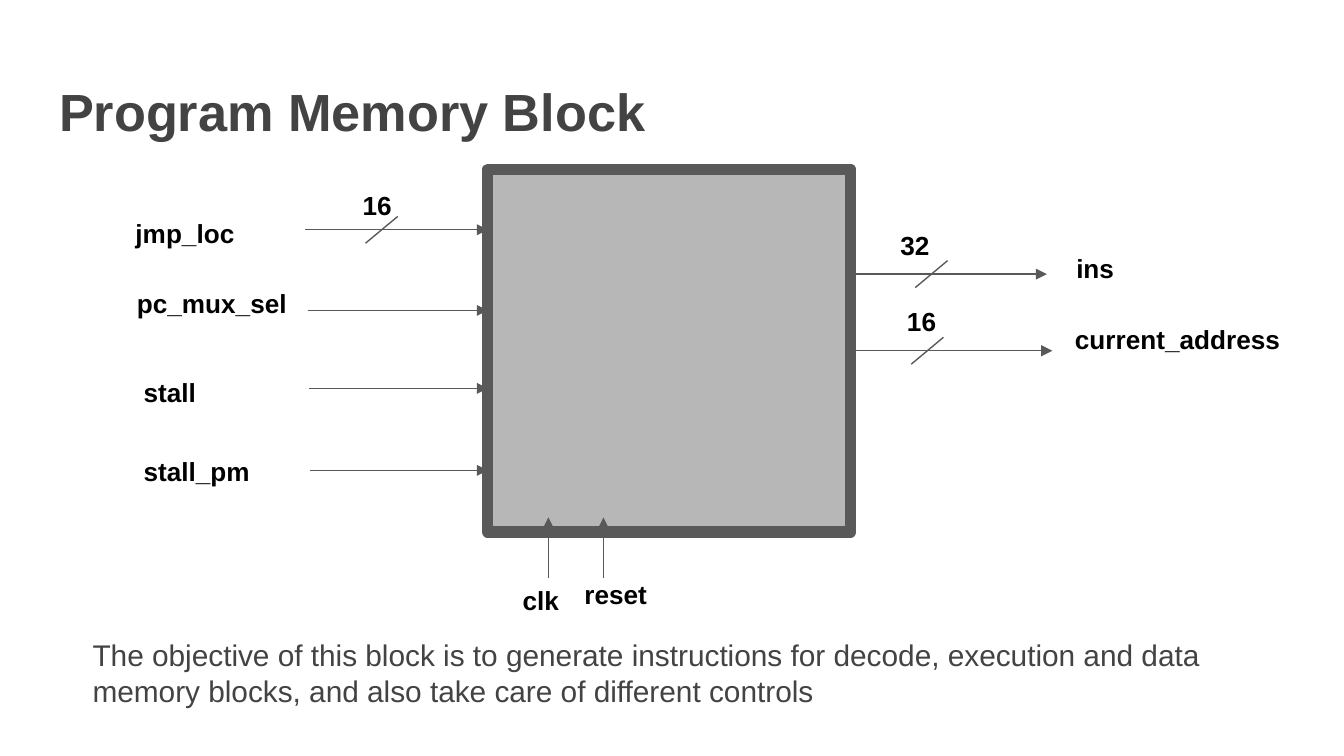
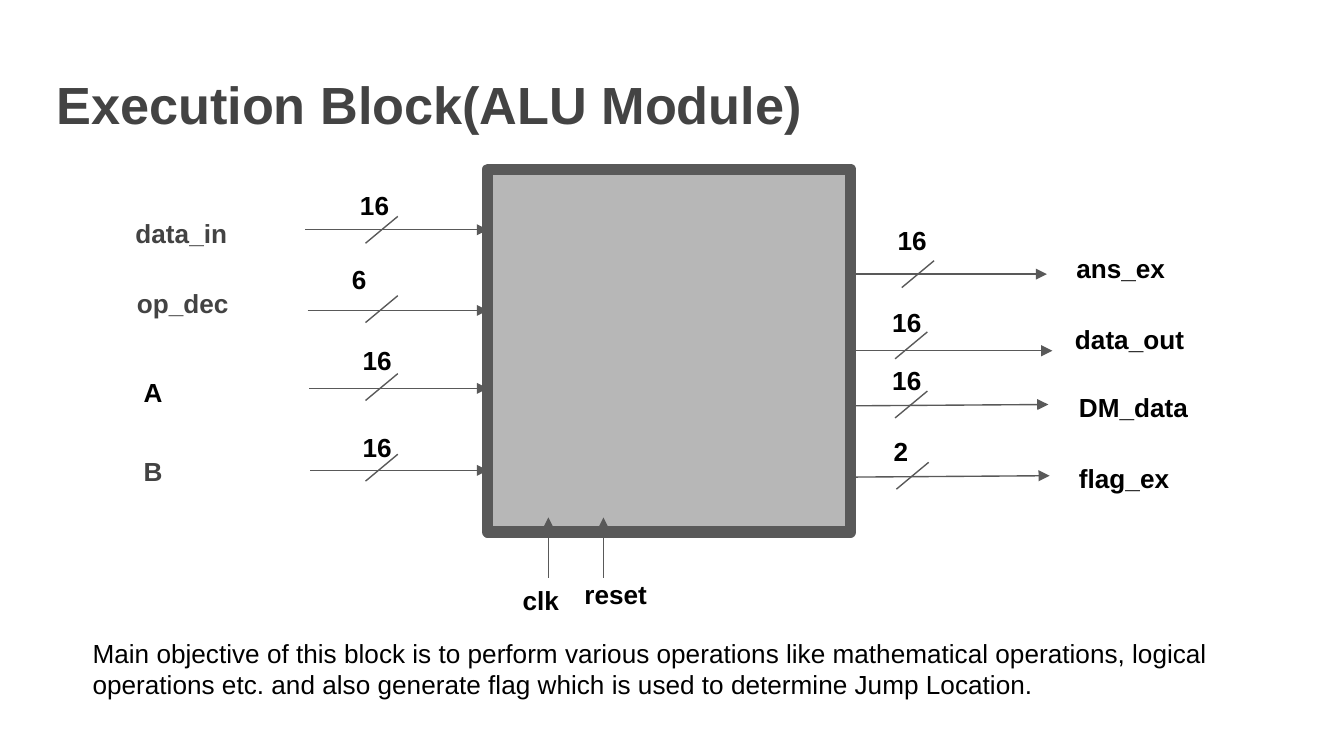
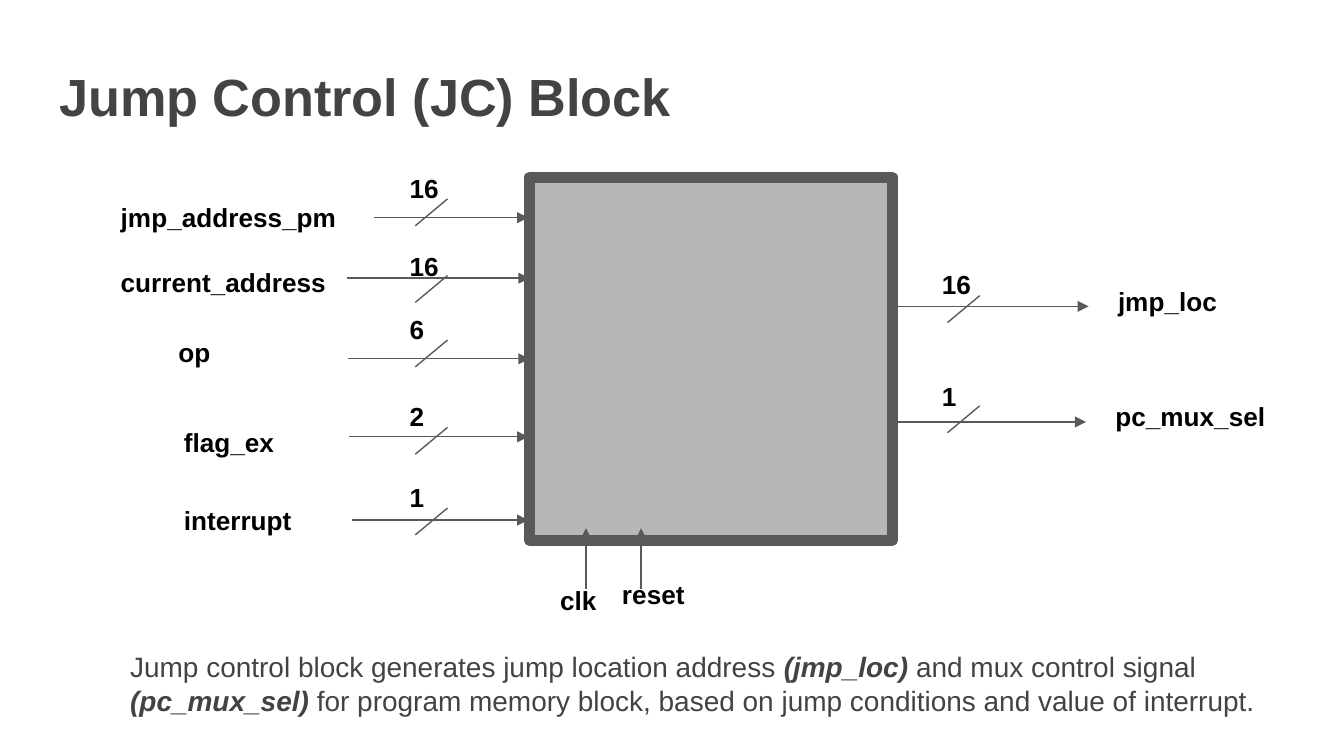
from dataclasses import dataclass

from lxml.etree import SubElement
from pptx import Presentation
from pptx.dml.color import RGBColor
from pptx.enum.shapes import MSO_CONNECTOR as Connector, MSO_SHAPE as Shape
from pptx.enum.text import MSO_ANCHOR as Anchor, MSO_AUTO_SIZE as AutoSize, PP_ALIGN as Align
from pptx.oxml.ns import qn
from pptx.util import Emu, Pt

PX = 9144  # 100 px to the inch
SLIDE_WIDTH = Emu(1000 * PX)
SLIDE_HEIGHT = Emu(SLIDE_WIDTH * 9 // 16)
COLORS = {"heading": "434343", "ink": "000000", "edge": "595959", "block": "B7B7B7"}
FONT = "Arial"
BLOCK_SIDE = 270
SLASH_WIDTH, SLASH_HEIGHT = 24, 20


def px(*lengths):
    return [Emu(length * PX) for length in lengths]


def rgb(name):
    return RGBColor.from_string(COLORS[name])


@dataclass
class Signal:
    """A named wire; slash is the upper right end of its bus mark."""
    name: str
    label: tuple  # left, top, width
    start: tuple
    end: tuple
    bits: str = ""
    slash: tuple = ()
    bits_offset: tuple = (38, 30)
    color: str = "ink"
    label_height: int = 27


class BlockDeck:
    def __init__(self):
        self.prs = Presentation()
        self.prs.slide_width, self.prs.slide_height = SLIDE_WIDTH, SLIDE_HEIGHT
        self.slide = None

    def new_slide(self, title, left, top):
        self.slide = self.prs.slides.add_slide(self.prs.slide_layouts[5])
        heading = self.slide.shapes.title
        heading.left, heading.top, heading.width, heading.height = px(left, top, 932, 63)
        self.fill_text(heading.text_frame, [title], 28, "heading", bold=True)

    def fill_text(self, frame, lines, size, color, bold=False, align=Align.LEFT,
                  anchor=Anchor.TOP):
        """Write one paragraph per line; parts between asterisks are bold italic."""
        frame.word_wrap = True
        frame.auto_size = AutoSize.NONE
        frame.vertical_anchor = anchor
        frame.margin_left, frame.margin_top, frame.margin_right, frame.margin_bottom = px(10, 10, 10, 10)
        for index, line in enumerate(lines):
            paragraph = frame.add_paragraph() if index else frame.paragraphs[0]
            paragraph.alignment = align
            for part, words in enumerate(line.split("*")):
                if not words:
                    continue
                run = paragraph.add_run()
                run.text = words
                emphasis = part % 2 == 1
                run.font.name, run.font.size = FONT, Pt(size)
                run.font.bold, run.font.italic = bold or emphasis, emphasis
                run.font.color.rgb = rgb(color)

    def text(self, box, lines, size=14, color="ink", **style):
        frame = self.slide.shapes.add_textbox(*px(*box)).text_frame
        self.fill_text(frame, lines, size, color, **style)

    def label(self, words, left, top, width, height, color="ink"):
        self.text((left, top, width, height), [words], color=color, bold=True)

    def block(self, left, top):
        square = self.slide.shapes.add_shape(Shape.RECTANGLE, *px(left, top, BLOCK_SIDE, BLOCK_SIDE))
        square.shadow.inherit = False
        square.fill.solid()
        square.fill.fore_color.rgb = rgb("block")
        square.line.color.rgb = rgb("edge")
        square.line.width = Pt(6)
        SubElement(square.line._get_or_add_ln(), qn("a:round"))

    def line(self, start, end, arrow=False):
        wire = self.slide.shapes.add_connector(Connector.STRAIGHT, *px(*start, *end))
        wire.line.color.rgb = rgb("edge")
        wire.line.width = Pt(0.75)
        if arrow:
            SubElement(wire.line._get_or_add_ln(), qn("a:tailEnd"), type="triangle")
        SubElement(wire._element.spPr, qn("a:effectLst"))

    def signal(self, signal):
        self.line(signal.start, signal.end, arrow=True)
        self.label(signal.name, *signal.label, signal.label_height, signal.color)
        if signal.bits:
            right, top = signal.slash
            dx, dy = signal.bits_offset
            self.line((right, top), (right - SLASH_WIDTH, top + SLASH_HEIGHT))
            self.label(signal.bits, right - dx, top - dy, 48, 40)

    def clock_and_reset(self, clk_x, bottom):
        for x in (clk_x, clk_x + 41):
            self.line((x, bottom), (x, bottom - 45), arrow=True)
        self.label("clk", clk_x - 29, 425, 57, 27)
        self.label("reset", clk_x + 17, 424, 96, 12)

    def diagram(self, block_at, clock_at, inputs, outputs):
        self.block(*block_at)
        self.clock_and_reset(*clock_at)
        for signal in inputs:
            self.signal(signal)
        for signal in outputs:
            signal.label_height = 40
            self.signal(signal)


# Places that the first two blocks have in common
INPUT_PLACES = [
    dict(label=(91, 152, 144), start=(227, 171), end=(363, 171)),
    dict(label=(92, 204, 144), start=(229, 231), end=(363, 231)),
    dict(label=(97, 270, 144), start=(230, 289), end=(363, 289)),
    dict(label=(97, 329, 144), start=(231, 350), end=(363, 350)),
]
FIRST_OUTPUT = dict(start=(635, 204), end=(779, 204))
SECOND_OUTPUT = dict(start=(630, 261), end=(783, 261))
WIDE_BLOCK = dict(block_at=(363, 126), clock_at=(408, 430))
OBJECTIVE_BOX = (59, 464, 888, 76)


def program_memory(deck):
    deck.new_slide("Program Memory Block", 34, 49)
    names = ["jmp_loc", "pc_mux_sel", "stall", "stall_pm"]
    inputs = [Signal(name, **place) for name, place in zip(names, INPUT_PLACES)]
    inputs[0].bits, inputs[0].slash, inputs[0].bits_offset = "16", (296, 161), (36, 30)
    deck.diagram(**WIDE_BLOCK, inputs=inputs, outputs=[
        Signal("ins", (791, 178, 96), bits="32", slash=(705, 194),
               bits_offset=(45, 33), **FIRST_OUTPUT),
        Signal("current_address", (790, 231, 176), bits="16", slash=(702, 251),
               bits_offset=(37, 34), **SECOND_OUTPUT),
    ])
    deck.text(OBJECTIVE_BOX, [
        "The objective of this block is to generate instructions for decode, execution and data",
        "memory blocks, and also take care of different controls",
    ], 16, "heading")


def execution(deck):
    deck.new_slide("Execution Block(ALU Module)", 32, 44)
    buses = [  # name, bits, slash top, bits offset, colour
        ("data_in", "16", 161, (38, 30), "heading"),
        ("op_dec", "6", 220, (44, 34), "heading"),
        ("A", "16", 278, (36, 32), "ink"),
        ("B", "16", 338, (36, 27), "heading"),
    ]
    inputs = [Signal(name, bits=bits, slash=(296, top), bits_offset=offset, color=color, **place)
              for (name, bits, top, offset, color), place in zip(buses, INPUT_PLACES)]
    deck.diagram(**WIDE_BLOCK, inputs=inputs, outputs=[
        Signal("ans_ex", (791, 178, 96), bits="16", slash=(695, 194),
               bits_offset=(37, 37), **FIRST_OUTPUT),
        Signal("data_out", (790, 231, 115), bits="16", slash=(690, 247),
               bits_offset=(36, 29), **SECOND_OUTPUT),
        Signal("DM_data", (793, 281, 120), (633, 302), (780, 301), "16", (690, 291), (36, 30)),
        Signal("flag_ex", (793, 334, 120), (634, 355), (781, 354), "2", (691, 344), (36, 30)),
    ])
    deck.text(OBJECTIVE_BOX, [
        "Main objective of this block is to perform various operations like mathematical "
        "operations, logical operations etc. and also generate flag which is used to "
        "determine Jump Location."])


def jump_control(deck):
    deck.new_slide("Jump Control (JC) Block", 34, 38)
    deck.diagram((394, 132), (436, 438), inputs=[
        Signal("jmp_address_pm", (80, 140, 191), (278, 162), (393, 162), "16", (333, 148)),
        Signal("current_address", (80, 188, 186), (258, 207), (394, 207), "16", (333, 205), (38, 29)),
        Signal("op", (123, 240, 144), (259, 267), (394, 267), "6", (333, 253)),
        Signal("flag_ex", (127, 307, 144), (260, 325), (393, 325), "2", (333, 318)),
        Signal("interrupt", (127, 365, 144), (262, 387), (393, 387), "1", (333, 378)),
    ], outputs=[
        Signal("jmp_loc", (822, 202, 115), (666, 228), (810, 228), "16", (729, 220)),
        Signal("pc_mux_sel", (820, 288, 135), (664, 314), (808, 314), "1", (729, 302), (38, 29)),
    ])
    deck.text((87, 458, 893, 101), [
        "Jump control block generates jump location address *(jmp_loc)* and mux control signal",
        "*(pc_mux_sel)* for program memory block, based on jump conditions and value of interrupt.",
    ], 15, "heading", align=Align.JUSTIFY, anchor=Anchor.MIDDLE)


def main():
    deck = BlockDeck()
    for build in (program_memory, execution, jump_control):
        build(deck)
    deck.prs.save("out.pptx")


if __name__ == "__main__":
    main()
